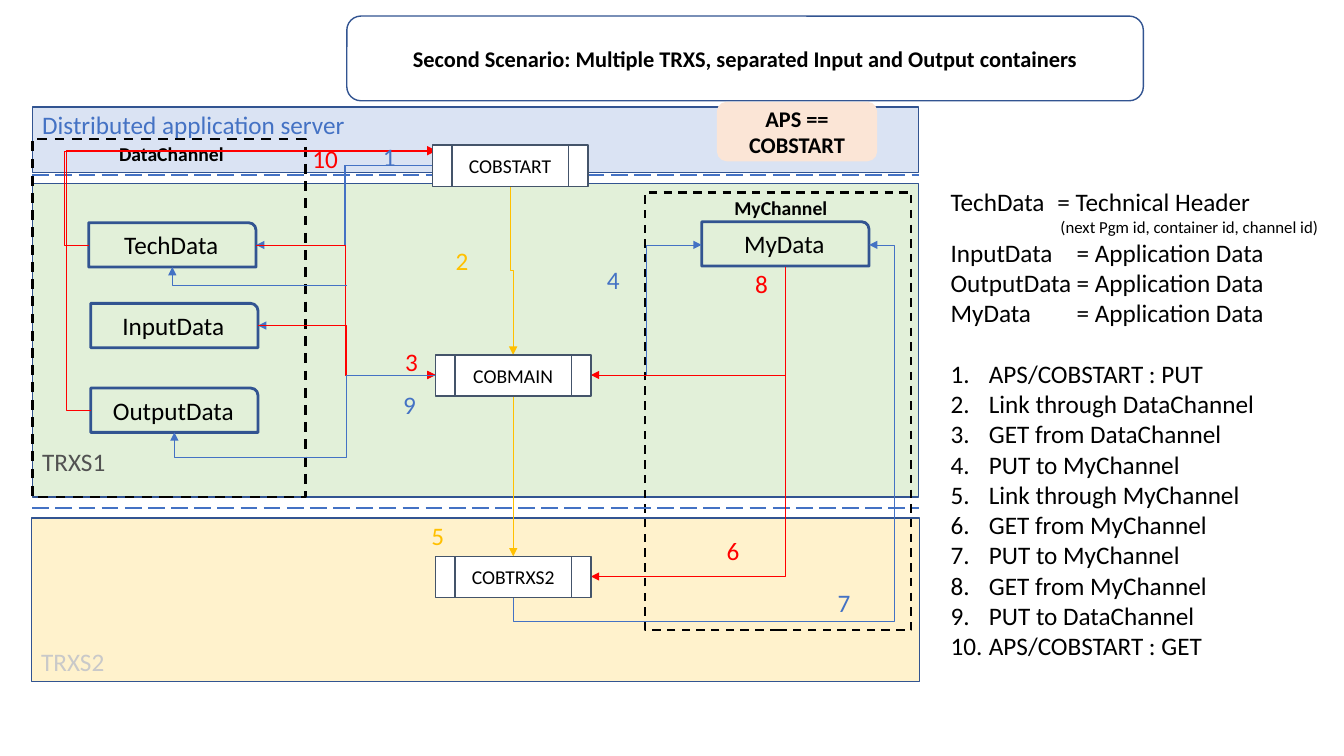
from dataclasses import dataclass

import lxml.etree
import pptx
import pptx.dml.color
import pptx.enum.dml
import pptx.enum.shapes
import pptx.enum.text
import pptx.oxml.ns
import pptx.shapes.autoshape
import pptx.shapes.connector
import pptx.slide
import pptx.text.text
import pptx.util

Inches = pptx.util.Inches
Pt = pptx.util.Pt
qn = pptx.oxml.ns.qn
Shape = pptx.enum.shapes.MSO_SHAPE
Wire = pptx.enum.shapes.MSO_CONNECTOR
Dash = pptx.enum.dml.MSO_LINE
Align = pptx.enum.text.PP_ALIGN
Anchor = pptx.enum.text.MSO_ANCHOR


@dataclass(frozen=True)
class Theme:
    font: str = "Calibri"
    black: str = "000000"
    white: str = "FFFFFF"
    navy: str = "325491"
    slate: str = "44546A"
    put: str = "4472C4"
    link: str = "FFC000"
    get: str = "FF0000"
    server: str = "DAE3F3"
    region1: str = "E2F0D9"
    region2: str = "FFF2CC"
    note: str = "FBE5D6"
    region1_text: str = "525252"
    region2_text: str = "C9C9C9"
    body: float = 18
    heading: float = 16
    label: float = 14
    small: float = 12


T = Theme()
CENTRED = dict(align=Align.CENTER, anchor=Anchor.MIDDLE)
FRAME = dict(align=Align.CENTER, anchor=Anchor.TOP, bold=True, size=T.label,
             insets=(0.05, 0.03, 0, 0.04))


@dataclass(frozen=True)
class Box:
    text: str
    at: tuple[float, float, float, float]
    kind: Shape
    format: dict
    fill: str | None = None
    line: str | None = T.navy
    weight: float = 1
    dash: Dash | None = None


@dataclass(frozen=True)
class Route:
    start: tuple[float, float]
    end: tuple[float, float]
    color: str
    bends: tuple[float, ...] = (0.5,)
    vertical: bool = False


@dataclass(frozen=True)
class Step:
    number: int
    left: float
    top: float
    color: str


def container(name: str, left: float, top: float) -> Box:
    return Box(name, (left, top, 1.66, 0.44), Shape.ROUND_1_RECTANGLE, CENTRED, weight=2)


def program(name: str, left: float, top: float) -> Box:
    return Box(name, (left, top, 1.54, 0.41), Shape.FLOWCHART_PREDEFINED_PROCESS,
               CENTRED | dict(size=T.label), T.white, T.slate)


BOXES = [
    Box("TRXS2", (0.31, 5.14, 8.81, 1.62), Shape.RECTANGLE,
        dict(anchor=Anchor.BOTTOM, color=T.region2_text), T.region2),
    Box("TRXS1", (0.32, 1.82, 8.79, 3.11), Shape.RECTANGLE,
        dict(anchor=Anchor.BOTTOM, color=T.region1_text, insets=(0.1, 0.05, 0.1, 0.2)), T.region1),
    Box("Distributed application server", (0.32, 1.06, 8.79, 0.65), Shape.RECTANGLE,
        dict(color=T.put, insets=(0.1, 0.02, 0.1, 0.02)), T.server),
    Box("", (3.44, 0.16, 7.9, 0.84), Shape.ROUNDED_RECTANGLE, CENTRED),
    Box("DataChannel", (0.32, 1.38, 2.71, 3.55), Shape.RECTANGLE, FRAME,
        line=T.black, weight=1.75, dash=Dash.DASH),
    Box("MyChannel", (6.4, 1.91, 2.64, 4.34), Shape.RECTANGLE, FRAME,
        line=T.black, weight=1.5, dash=Dash.DASH),
    container("TechData", 0.88, 2.21),
    container("InputData", 0.9, 3.01),
    container("OutputData", 0.9, 3.85),
    container("MyData", 6.96, 2.2),
    Box("APS ==\nCOBSTART", (7.11, 1.01, 1.59, 0.59), Shape.ROUNDED_RECTANGLE,
        CENTRED | dict(size=T.heading, bold=True), T.note, None),
]
PROGRAMS = [program("COBSTART", 4.29, 1.44), program("COBMAIN", 4.32, 3.52),
            program("COBTRXS2", 4.32, 5.52)]
ROUTES = [
    Route((4.29, 1.64), (2.54, 2.43), T.put),
    Route((4.29, 1.64), (2.56, 3.23), T.put),
    Route((5.06, 1.85), (5.09, 3.52), T.link, vertical=True),
    Route((2.54, 2.43), (4.32, 3.72), T.get),
    Route((2.56, 3.23), (4.32, 3.72), T.get),
    Route((5.86, 3.72), (6.96, 2.43), T.put),
    Route((5.09, 3.93), (5.09, 5.52), T.link, vertical=True),
    Route((7.79, 2.65), (5.86, 5.72), T.get, (), True),
    Route((5.09, 5.92), (8.62, 2.43), T.put, (-0.07, 1.07), True),
    Route((7.79, 2.65), (5.86, 3.72), T.get, (), True),
    Route((4.32, 3.72), (1.73, 4.29), T.put, (0.34, 1.44)),
    Route((3.44, 2.83), (1.71, 2.65), T.put, ()),
    Route((0.9, 4.07), (4.32, 1.49), T.get, (-0.07,)),
    Route((0.88, 2.43), (4.32, 1.5), T.get, (-0.07,)),
]
STEPS = [
    Step(1, 3.7, 1.35, T.put), Step(2, 4.42, 2.38, T.link), Step(3, 3.92, 3.39, T.get),
    Step(4, 5.92, 2.57, T.put), Step(5, 4.18, 5.11, T.link), Step(6, 7.11, 5.26, T.get),
    Step(7, 8.21, 5.78, T.put), Step(8, 7.39, 2.61, T.get), Step(9, 3.9, 3.81, T.put),
    Step(10, 3, 1.37, T.get),
]
TERMS = [("TechData\t= Technical Header", 1.06), ("(next Pgm id, container id, channel id)", 0),
         ("InputData\t= Application Data", 1.25), ("OutputData\t= Application Data", 1.25),
         ("MyData\t= Application Data", 1.25)]
ACTIONS = ["APS/COBSTART : PUT", "Link through DataChannel", "GET from DataChannel",
           "PUT to MyChannel", "Link through MyChannel", "GET from MyChannel",
           "PUT to MyChannel", "GET from MyChannel", "PUT to DataChannel", "APS/COBSTART : GET"]


def rgb(color: str) -> pptx.dml.color.RGBColor:
    return pptx.dml.color.RGBColor.from_string(color)


def write(tf: pptx.text.text.TextFrame, text: str, *, size: float = T.body,
          color: str = T.black, bold: bool = False, align: Align = Align.LEFT,
          anchor: Anchor = Anchor.TOP, wrap: bool = True,
          insets: tuple[float, ...] = (0.1, 0.05, 0.1, 0.05)) -> None:
    tf.word_wrap, tf.vertical_anchor = wrap, anchor
    tf.auto_size = pptx.enum.text.MSO_AUTO_SIZE.NONE
    tf.margin_left, tf.margin_top, tf.margin_right, tf.margin_bottom = map(Inches, insets)
    tf.text = text
    for p in tf.paragraphs:
        p.alignment = align
        for r in p.runs:
            r.font.name, r.font.size, r.font.bold = T.font, Pt(size), bold
            r.font.color.rgb = rgb(color)


def draw_box(s: pptx.slide.Slide, box: Box) -> None:
    sp = s.shapes.add_shape(box.kind, *map(Inches, box.at))
    sp.shadow.inherit = False
    if box.fill:
        sp.fill.solid()
        sp.fill.fore_color.rgb = rgb(box.fill)
    else:
        sp.fill.background()
    if box.line:
        sp.line.color.rgb, sp.line.width = rgb(box.line), Pt(box.weight)
        sp.line.dash_style = box.dash
    else:
        sp.line.fill.background()
    if box.text:
        write(sp.text_frame, box.text, **box.format)


def draw_line(s: pptx.slide.Slide, kind: Wire, start: tuple[float, float],
              end: tuple[float, float], color: str,
              weight: float) -> pptx.shapes.connector.Connector:
    cx = s.shapes.add_connector(kind, *map(Inches, start + end))
    cx.line.color.rgb, cx.line.width = rgb(color), Pt(weight)
    lxml.etree.SubElement(cx._element.spPr, qn("a:effectLst"))
    return cx


def draw_route(s: pptx.slide.Slide, route: Route) -> None:
    (x1, y1), (x2, y2) = route.start, route.end
    mx, my, dx, dy = (x1 + x2) / 2, (y1 + y2) / 2, x2 - x1, y2 - y1
    if route.vertical:
        dx, dy = dy, -dx
    cx = draw_line(s, Wire.ELBOW, (mx - dx / 2, my - dy / 2), (mx + dx / 2, my + dy / 2),
                   route.color, 0.5)
    spPr = cx._element.spPr
    if route.vertical:
        spPr.find(qn("a:xfrm")).set("rot", str(90 * 60000))
    geom = spPr.find(qn("a:prstGeom"))
    geom.set("prst", f"bentConnector{len(route.bends) + 2}")
    for i, bend in enumerate(route.bends, 1):
        lxml.etree.SubElement(geom.find(qn("a:avLst")), qn("a:gd"), name=f"adj{i}",
                              fmla=f"val {round(bend * 100000)}")
    lxml.etree.SubElement(spPr.find(qn("a:ln")), qn("a:tailEnd"), type="triangle")


def draw_legend(s: pptx.slide.Slide) -> None:
    tf = s.shapes.add_textbox(*map(Inches, (9.33, 1.8, 3.94, 5.45))).text_frame
    write(tf, "\n".join([term for term, _ in TERMS] + ACTIONS))
    terms, actions = tf.paragraphs[:len(TERMS)], tf.paragraphs[len(TERMS):]
    for p, (_, stop) in zip(terms, TERMS):
        pPr = p._p.get_or_add_pPr()
        if stop:
            tabs = lxml.etree.SubElement(pPr, qn("a:tabLst"))
            lxml.etree.SubElement(tabs, qn("a:tab"), pos=str(Inches(stop)), algn="l")
        else:
            pPr.set("marL", str(Inches(1.09)))
            p.runs[0].font.size = Pt(T.small)
    actions[0].space_before = Pt(22)
    for p in actions:
        pPr = p._p.get_or_add_pPr()
        pPr.set("marL", str(Inches(0.38)))
        pPr.set("indent", str(-Inches(0.38)))
        lxml.etree.SubElement(pPr, qn("a:buFont"), typeface=T.font)
        lxml.etree.SubElement(pPr, qn("a:buAutoNum"), type="arabicPeriod")


def main() -> None:
    prs = pptx.Presentation()
    prs.slide_width, prs.slide_height = Inches(13.33), Inches(7.5)
    s = prs.slides.add_slide(prs.slide_layouts[5])
    title = s.shapes.title
    title.left, title.top, title.width, title.height = map(Inches, (3.44, 0.16, 7.9, 0.84))
    write(title.text_frame, "Second Scenario: Multiple TRXS, separated Input and Output containers",
          size=T.heading, bold=True, **CENTRED)
    for box in BOXES:
        draw_box(s, box)
    for y in (1.74, 5.04):
        draw_line(s, Wire.STRAIGHT, (0.32, y), (9.12, y), T.put, 1.5).line.dash_style = Dash.LONG_DASH
    for route in ROUTES:
        draw_route(s, route)
    for box in PROGRAMS:
        draw_box(s, box)
    for step in STEPS:
        width = 0.33 if step.number < 10 else 0.46
        sp = s.shapes.add_textbox(*map(Inches, (step.left, step.top, width, 0.4)))
        write(sp.text_frame, str(step.number), color=step.color, wrap=False)
    draw_legend(s)
    prs.save("out.pptx")


if __name__ == "__main__":
    main()
